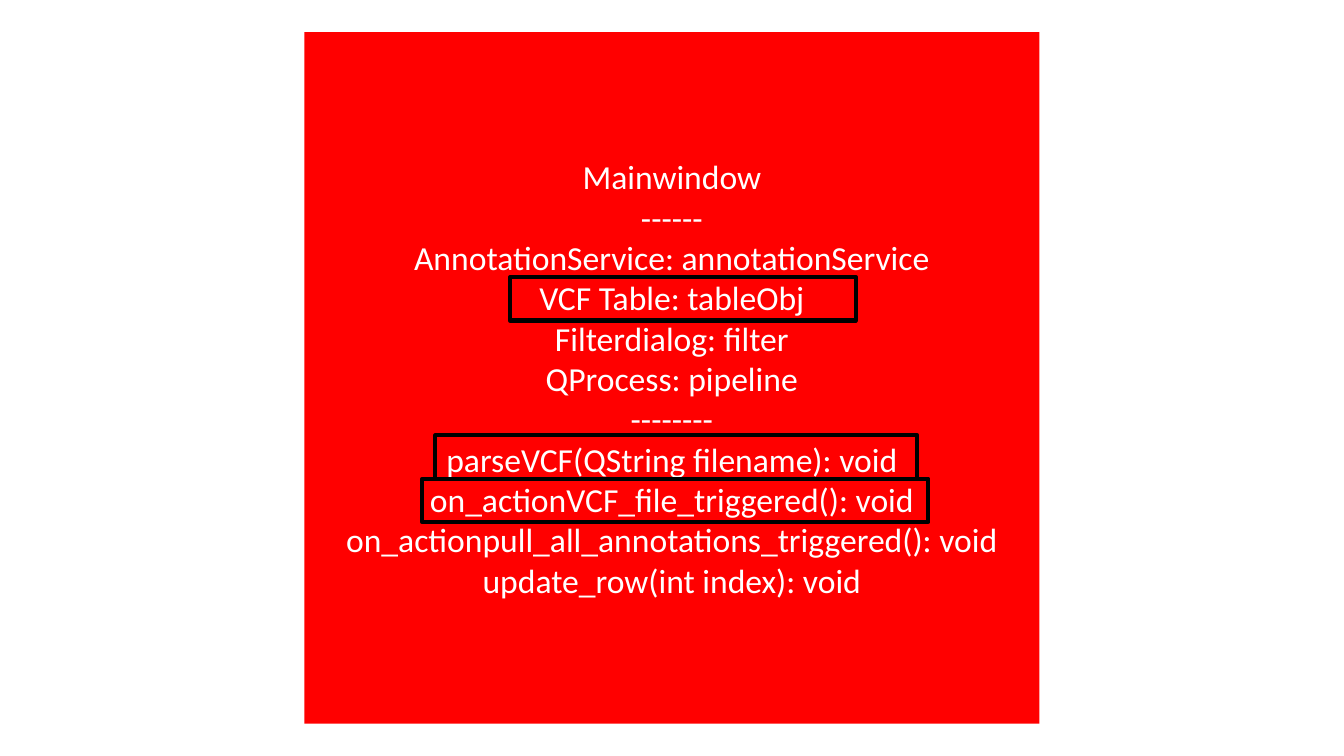
from pptx import Presentation
from pptx.dml.color import RGBColor
from pptx.enum.shapes import MSO_SHAPE
from pptx.enum.text import MSO_ANCHOR, PP_ALIGN
from pptx.util import Pt

RECTANGLE = MSO_SHAPE.RECTANGLE
MIDDLE = MSO_ANCHOR.MIDDLE
CENTER = PP_ALIGN.CENTER

CLASS_LINES = [
    "Mainwindow",
    "------",
    "AnnotationService: annotationService",
    "VCF Table: tableObj",
    "Filterdialog: filter",
    "QProcess: pipeline",
    "--------",
    "parseVCF(QString filename): void",
    "on_actionVCF_file_triggered(): void",
    "on_actionpull_all_annotations_triggered(): void",
    "update_row(int index): void",
]

# Left, top and width of the frame around each highlighted member
HIGHLIGHTS = [
    (364.3, 198, 247),
    (311, 311, 344.2),
    (301.7, 342, 361.4),
]
HIGHLIGHT_HEIGHT = 31


def color(hex_value):
    return RGBColor.from_string(hex_value)


def add_rectangle(slide, left, top, width, height):
    rectangle = slide.shapes.add_shape(
        RECTANGLE, Pt(left), Pt(top), Pt(width), Pt(height))
    rectangle.shadow.inherit = False
    return rectangle


def add_class_box(slide, left, top, width, height, lines):
    class_box = add_rectangle(slide, left, top, width, height)
    class_box.fill.solid()
    class_box.fill.fore_color.rgb = color("FF0000")
    class_box.line.fill.background()
    members = class_box.text_frame
    members.word_wrap = True
    members.vertical_anchor = MIDDLE
    members.text = "\n".join(lines)
    for member in members.paragraphs:
        member.alignment = CENTER
        member.font.name = "Calibri"
        member.font.size = Pt(24)
        member.font.color.rgb = color("FFFFFF")


def add_highlight(slide, left, top, width):
    highlight = add_rectangle(slide, left, top, width, HIGHLIGHT_HEIGHT)
    highlight.fill.background()
    highlight.line.color.rgb = color("000000")
    highlight.line.width = Pt(3)


def main():
    presentation = Presentation()
    presentation.slide_width = Pt(960)
    presentation.slide_height = Pt(540)
    slide = presentation.slides.add_slide(presentation.slide_layouts[6])

    # Class with its members
    add_class_box(slide, 217.4, 23, 525, 494, CLASS_LINES)

    # Frames around the VCF members
    for left, top, width in HIGHLIGHTS:
        add_highlight(slide, left, top, width)

    presentation.save("out.pptx")


if __name__ == "__main__":
    main()
